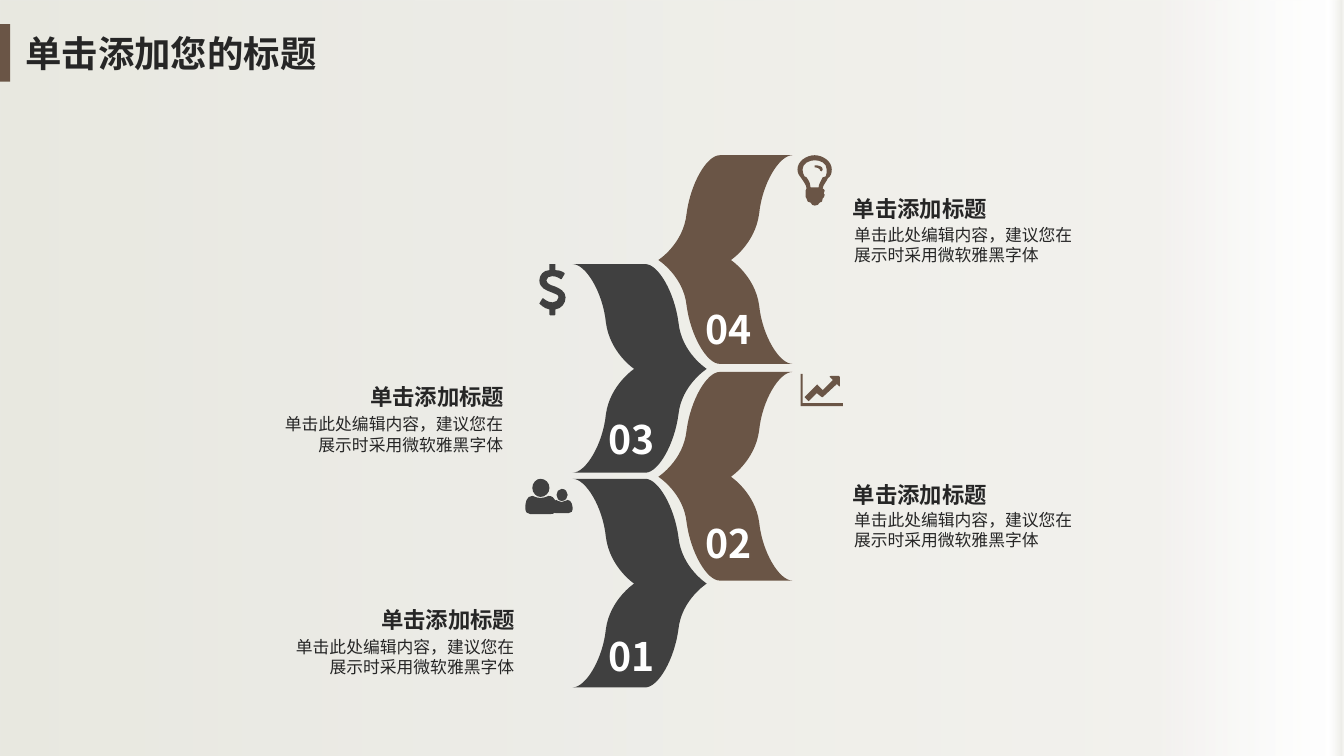
import pptx
import pptx.util
import pptx.dml.color
import pptx.enum.shapes
import pptx.enum.text
import pptx.oxml
import pptx.oxml.ns

PX = 9144  # EMU in one px, 100 px to the inch
W, H = 1333, 750
BROWN, DARK, INK, WHITE = "6A5546", "404040", "262626", "FFFFFF"
CJK = "Noto Sans CJK SC"
LEFT, RIGHT = pptx.enum.text.PP_ALIGN.LEFT, pptx.enum.text.PP_ALIGN.RIGHT
TOP, MIDDLE = pptx.enum.text.MSO_ANCHOR.TOP, pptx.enum.text.MSO_ANCHOR.MIDDLE

# Backdrop stops: position, colour, opacity, in percent
BACKDROP = [(0, "E7E7DF", 94), (86, "F0EFEB", 85), (99, "FFFFFF", 62), (100, "EBEBE5", 100)]
HEADING = "单击添加标题"
BODY = "单击此处编辑内容，建议您在展示时采用微软雅黑字体"

# Ribbons: number, left, top, number box left and top, faces left
RIBBONS = [("01", 568, 475, 594, 622, False), ("02", 653, 369, 690, 510, True),
           ("04", 653, 154, 690, 298, True), ("03", 568, 262, 594, 407, False)]
RIBBON_W = 133

# Outlines: each contour is a start point, then line ends (2) or curves (6)
RIBBON = [(33, 58), (37, 88, 61, 104, 61, 104), (61, 104, 37, 120, 33, 149),
          (30, 179, 13, 207, 0, 207), (72, 207), (85, 207, 101, 179, 105, 149),
          (108, 120, 133, 104, 133, 104), (133, 104, 108, 88, 105, 58),
          (101, 28, 85, 0, 72, 0), (0, 0), (13, 0, 30, 28, 33, 58)]
BULB = [
    [(821, 177), (820, 180, 816, 184, 816, 187), (817, 188, 818, 188, 818, 189),
     (818, 190, 817, 191, 817, 192), (817, 192, 818, 192, 818, 193),
     (818, 195, 817, 196, 816, 197), (816, 200, 815, 201, 813, 201),
     (812, 203, 811, 204, 808, 204), (807, 204, 804, 203, 804, 201),
     (802, 201, 800, 200, 800, 197), (799, 196, 799, 195, 799, 193),
     (799, 192), (799, 191, 799, 190, 799, 189), (799, 188, 799, 188, 800, 187),
     (800, 184, 797, 180, 795, 177), (793, 175, 791, 172, 791, 168),
     (791, 160, 800, 154, 808, 154), (816, 154, 825, 160, 825, 168),
     (825, 172, 824, 175, 821, 177)],
    [(808, 159), (803, 159, 796, 162, 796, 168), (796, 171, 797, 173, 798, 175),
     (799, 176, 799, 176, 800, 176), (803, 180, 804, 183, 804, 186), (812, 186),
     (812, 183, 814, 180, 816, 176), (817, 176, 818, 176, 819, 175),
     (820, 173, 820, 171, 820, 168), (820, 162, 814, 159, 808, 159)],
    [(815, 170), (814, 170, 813, 169, 813, 168), (813, 167, 810, 166, 808, 166),
     (808, 166, 808, 165, 808, 164), (812, 164, 816, 165, 816, 168),
     (816, 169, 815, 170, 815, 170)]]
DOLLAR = [
    [(551, 307), (551, 312), (551, 312, 551, 313, 550, 313), (546, 313),
     (545, 313, 545, 312, 545, 312), (545, 307), (539, 306, 535, 301, 535, 301),
     (538, 296), (539, 296), (539, 296, 543, 300, 548, 300),
     (551, 300, 554, 298, 554, 295), (554, 292, 551, 292, 547, 290),
     (542, 288, 535, 286, 535, 278), (535, 273, 539, 268, 545, 268),
     (545, 262), (551, 262), (551, 268), (557, 268, 560, 271, 560, 271),
     (560, 272), (557, 277), (556, 277), (556, 277, 553, 274, 548, 274),
     (545, 274, 542, 275, 542, 278), (542, 281, 546, 283, 550, 284),
     (555, 286, 561, 289, 561, 295), (561, 301, 557, 306, 551, 307)]]
CHART = [
    [(836, 403), (794, 403), (794, 371), (796, 371), (796, 400), (836, 400)],
    [(833, 383), (833, 383, 832, 384, 832, 383), (830, 381), (816, 394),
     (815, 394), (810, 390), (802, 398), (798, 394), (810, 382),
     (810, 381, 811, 381, 811, 382), (816, 387), (826, 377), (823, 374),
     (822, 374, 823, 373, 824, 373), (832, 373), (833, 373, 833, 374, 833, 374)]]
SMALL_PERSON = [
    [(564, 509), (551, 509), (548, 509, 547, 507, 547, 505),
     (547, 502, 548, 496, 552, 496), (552, 496, 554, 498, 557, 498),
     (560, 498, 562, 496, 563, 496), (567, 496, 568, 502, 568, 505),
     (568, 507, 567, 509, 564, 509)],
    [(557, 497), (554, 497, 552, 494, 552, 491), (552, 488, 554, 485, 557, 485),
     (561, 485, 563, 488, 563, 491), (563, 494, 561, 497, 557, 497)]]
BIG_PERSON = [
    [(546, 510), (526, 510), (523, 510, 521, 508, 521, 504),
     (521, 499, 522, 492, 528, 492), (529, 492, 532, 494, 536, 494),
     (541, 494, 543, 492, 544, 492), (551, 492, 552, 499, 552, 504),
     (552, 508, 550, 510, 546, 510)],
    [(536, 493), (532, 493, 528, 489, 528, 484), (528, 479, 532, 475, 536, 475),
     (541, 475, 545, 479, 545, 484), (545, 489, 541, 493, 536, 493)]]
ICONS = [(BULB, BROWN), (DOLLAR, DARK), (CHART, BROWN),
         (SMALL_PERSON, DARK), (BIG_PERSON, DARK)]

# Captions: heading box, body box
RIGHT_CAPTIONS = [((836, 191, 199, 31), (847, 213, 231, 59)),
                  ((836, 475, 199, 31), (847, 496, 231, 59))]
LEFT_CAPTIONS = [((310, 375, 200, 37), (267, 406, 242, 50)),
                 ((321, 596, 200, 37), (278, 627, 242, 50))]


def rgb(value):
    return pptx.dml.color.RGBColor.from_string(value)


def xml(text):
    return pptx.oxml.parse_xml(text.replace("NS", pptx.oxml.ns.nsdecls("a"), 1))


def paint(sp, color):
    sp.shadow.inherit = False
    sp.fill.solid()
    sp.fill.fore_color.rgb = rgb(color)
    sp.line.fill.background()


def add_rect(s, left, top, width, height, color):
    sp = s.shapes.add_shape(pptx.enum.shapes.MSO_SHAPE.RECTANGLE,
                            left * PX, top * PX, width * PX, height * PX)
    paint(sp, color)
    return sp


def add_backdrop(s):
    sp = add_rect(s, 0, 0, W, H, WHITE)
    sp.fill.gradient()
    sp.fill.gradient_angle = 0
    stops = next(sp.element.iter(pptx.oxml.ns.qn("a:gsLst")))
    for stop in list(stops):
        stops.remove(stop)
    for pos, color, opacity in BACKDROP:
        stops.append(xml(f'<a:gs NS pos="{pos * 1000}"><a:srgbClr val="{color}">'
                         f'<a:alpha val="{opacity * 1000}"/></a:srgbClr></a:gs>'))


def add_outline(s, contours, color):
    ends = [[(seg[-2], seg[-1]) for seg in contour] for contour in contours]
    builder = s.shapes.build_freeform(*ends[0][0], scale=PX)
    for i, points in enumerate(ends):
        if i:
            builder.move_to(*points[0])
        builder.add_line_segments(points[1:], close=True)
    sp = builder.convert_to_shape()
    paint(sp, color)
    # Bend the segments that have control points
    left = min(x for points in ends for x, y in points)
    top = min(y for points in ends for x, y in points)
    segments = [seg for contour in contours for seg in contour[1:]]
    lines = list(sp.element.iter(pptx.oxml.ns.qn("a:lnTo")))
    for line, seg in zip(lines, segments):
        if len(seg) == 6:
            points = "".join(f'<a:pt x="{x - left}" y="{y - top}"/>'
                             for x, y in zip(seg[::2], seg[1::2]))
            line.getparent().replace(line, xml(f"<a:cubicBezTo NS>{points}</a:cubicBezTo>"))


def add_ribbon(s, left, top, faces_left, color):
    contour = []
    for seg in RIBBON:
        xs = [RIBBON_W - x if faces_left else x for x in seg[::2]]
        contour.append(tuple(v for x, y in zip(xs, seg[1::2]) for v in (left + x, top + y)))
    add_outline(s, [contour], color)


def set_text(sp, text, size, color=INK, bold=True, font=CJK, align=LEFT,
             anchor=TOP, wrap=True, inset=10):
    tf = sp.text_frame
    frame = {"word_wrap": wrap, "vertical_anchor": anchor,
             "auto_size": pptx.enum.text.MSO_AUTO_SIZE.NONE,
             "margin_left": inset * PX, "margin_right": 10 * PX,
             "margin_top": 5 * PX, "margin_bottom": 5 * PX}
    for name, value in frame.items():
        setattr(tf, name, value)
    p = tf.paragraphs[0]
    p.alignment = align
    r = p.add_run()
    r.text = text
    for name, value in {"size": pptx.util.Pt(size), "bold": bold, "name": font}.items():
        setattr(r.font, name, value)
    r.font.color.rgb = rgb(color)
    # East Asian typeface
    latin = next(sp.element.iter(pptx.oxml.ns.qn("a:latin")))
    latin.addnext(xml(f'<a:ea NS typeface="{CJK}"/>'))


def add_text(s, box, text, size, **options):
    set_text(s.shapes.add_textbox(*(v * PX for v in box)), text, size, **options)


def main():
    prs = pptx.Presentation()
    prs.slide_width, prs.slide_height = W * PX, H * PX
    s = prs.slides.add_slide(prs.slide_layouts[5])

    # Backdrop and title marker
    add_backdrop(s)
    add_rect(s, 0, 24, 10, 57, BROWN)

    # Ribbons, icons, numbers
    for number, left, top, num_left, num_top, faces_left in RIBBONS:
        add_ribbon(s, left, top, faces_left, BROWN if faces_left else DARK)
    for contours, color in ICONS:
        add_outline(s, contours, color)
    for number, left, top, num_left, num_top, faces_left in sorted(RIBBONS):
        add_text(s, (num_left, num_top, 69, 57), number, 28, color=WHITE, wrap=False)

    # Captions
    for right, left in zip(RIGHT_CAPTIONS, LEFT_CAPTIONS):
        add_text(s, right[1], BODY, 12, bold=False, font="Arial", anchor=MIDDLE, inset=0)
        add_text(s, right[0], HEADING, 16, anchor=MIDDLE)
        add_text(s, left[1], BODY, 12, bold=False, align=RIGHT)
        add_text(s, left[0], HEADING, 16, align=RIGHT)

    # Title, in front of the backdrop
    title = s.shapes.title
    for name, value in zip(("left", "top", "width", "height"), (15, 26, 391, 54)):
        setattr(title, name, value * PX)
    set_text(title, "单击添加您的标题", 26)
    title.element.getparent().append(title.element)

    prs.save("out.pptx")


if __name__ == "__main__":
    main()
